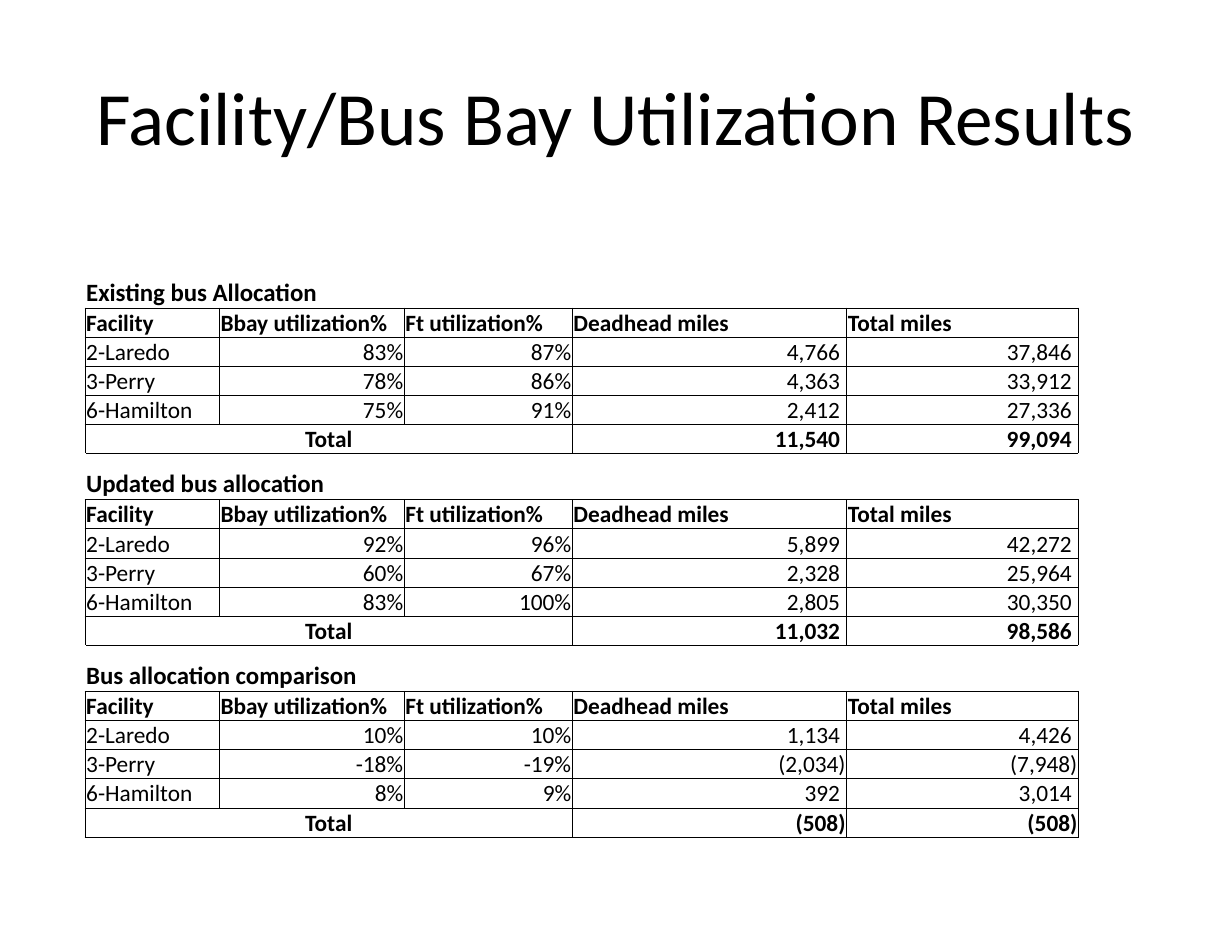
from lxml import etree
from pptx import Presentation
from pptx.dml.color import RGBColor
from pptx.enum.text import MSO_ANCHOR, PP_ALIGN
from pptx.oxml.ns import qn
from pptx.util import Inches, Pt

LEFT, CENTER, RIGHT = PP_ALIGN.LEFT, PP_ALIGN.CENTER, PP_ALIGN.RIGHT
MIDDLE, BOTTOM = MSO_ANCHOR.MIDDLE, MSO_ANCHOR.BOTTOM
FONT = "Calibri"
BLACK = "000000"
WIDTHS = [1.2, 1.65, 1.5, 2.45, 2.07]
HEAD_H, ROW_H = 0.41, 0.26
HEADS = ["Facility", "Bbay utilization%", "Ft utilization%", "Deadhead miles", "Total miles"]
BLOCKS = [
    ("Existing bus Allocation", [
        ["2-Laredo", "83%", "87%", "4,766", "37,846"],
        ["3-Perry", "78%", "86%", "4,363", "33,912"],
        ["6-Hamilton", "75%", "91%", "2,412", "27,336"],
    ], ["11,540", "99,094"]),
    ("Updated bus allocation", [
        ["2-Laredo", "92%", "96%", "5,899", "42,272"],
        ["3-Perry", "60%", "67%", "2,328", "25,964"],
        ["6-Hamilton", "83%", "100%", "2,805", "30,350"],
    ], ["11,032", "98,586"]),
    ("Bus allocation comparison", [
        ["2-Laredo", "10%", "10%", "1,134", "4,426"],
        ["3-Perry", "-18%", "-19%", "(2,034)", "(7,948)"],
        ["6-Hamilton", "8%", "9%", "392", "3,014"],
    ], ["(508)", "(508)"]),
]


def color(code):
    return RGBColor.from_string(code)


def style(para, size, bold=False, align=LEFT):
    para.alignment = align
    font = para.font
    font.name, font.size, font.bold = FONT, Pt(size), bold
    font.color.rgb = color(BLACK)


def border(cell, sides):
    props = cell._tc.get_or_add_tcPr()
    for side in sides:
        line = etree.SubElement(props, qn(f"a:ln{side}"), w=str(Pt(0.5)))
        fill = etree.SubElement(line, qn("a:solidFill"))
        etree.SubElement(fill, qn("a:srgbClr"), val=BLACK)


def write(cell, text, size=15, bold=False, align=LEFT):
    cell.text = text
    style(cell.text_frame.paragraphs[0], size, bold, align)
    cell.vertical_anchor = BOTTOM
    cell.margin_left = cell.margin_top = Inches(0.01)
    cell.margin_bottom = 0
    miles = align == RIGHT and text[-1] not in "%)"
    cell.margin_right = Inches(0.06 if miles else 0.01)


def add_title(slide, left, top, width, height):
    box = slide.shapes.add_textbox(Inches(left), Inches(top), Inches(width), Inches(height))
    frame = box.text_frame
    frame.word_wrap = True
    frame.vertical_anchor = MIDDLE
    para = frame.paragraphs[0]
    para.text = "Facility/Bus Bay Utilization Results"
    para.line_spacing = 0.9
    style(para, 48.4)


def fill_block(table, start, block):
    name, rows, totals = block
    last = start + len(rows) + 2
    table.cell(start, 0).merge(table.cell(start, 4))
    table.cell(last, 0).merge(table.cell(last, 2))
    write(table.cell(start, 0), name, 16, True)
    for col, head in enumerate(HEADS):
        write(table.cell(start + 1, col), head, bold=True)
    for row, values in enumerate(rows, start + 2):
        for col, value in enumerate(values):
            write(table.cell(row, col), value, align=RIGHT if col else LEFT)
    write(table.cell(last, 0), "Total", bold=True, align=CENTER)
    for col, value in enumerate(totals, 3):
        write(table.cell(last, col), value, bold=True, align=RIGHT)
    for row in range(start, last + 1):
        table.rows[row].height = Inches(HEAD_H if row == start else ROW_H)
        for col in range(len(HEADS)):
            cell = table.cell(row, col)
            if row > start:
                border(cell, "LRTB")
            else:
                border(cell, "TB" if start else "B")
            cell.fill.background()


def add_grid(slide, left, top):
    sizes = [len(rows) + 3 for _, rows, _ in BLOCKS]
    height = len(BLOCKS) * HEAD_H + (sum(sizes) - len(BLOCKS)) * ROW_H
    table = slide.shapes.add_table(
        sum(sizes), len(HEADS), Inches(left), Inches(top),
        Inches(sum(WIDTHS)), Inches(height)).table
    table.first_row = table.horz_banding = False
    for col, width in zip(table.columns, WIDTHS):
        col.width = Inches(width)
    start = 0
    for block, size in zip(BLOCKS, sizes):
        fill_block(table, start, block)
        start += size


def main():
    deck = Presentation()
    deck.slide_width, deck.slide_height = Inches(11), Inches(8.5)
    slide = deck.slides.add_slide(deck.slide_layouts[6])
    add_title(slide, 0.76, 0.26, 9.49, 1.64)
    add_grid(slide, 0.76, 2.34)
    deck.save("out.pptx")


if __name__ == "__main__":
    main()
